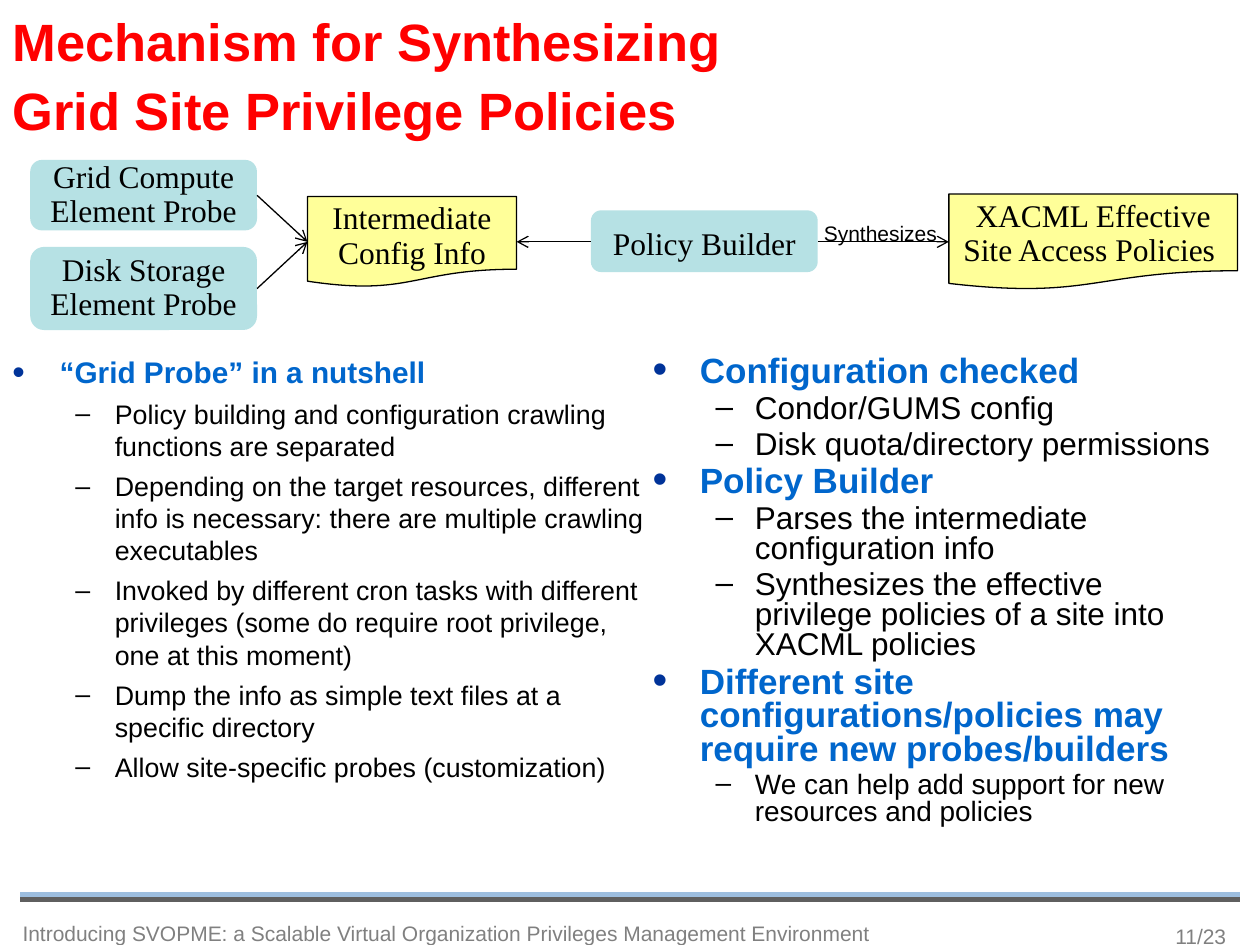
from lxml import etree
from pptx import Presentation, util as u
from pptx.dml.color import RGBColor
from pptx.enum import shapes, text
from pptx.oxml import ns

Pt = u.Pt
RED = RGBColor(0xFF, 0x00, 0x00)
BLUE = RGBColor(0x00, 0x66, 0xCC)
NAVY = RGBColor(0x00, 0x33, 0x99)
BLACK = RGBColor(0x00, 0x00, 0x00)
GRAY = RGBColor(0x80, 0x80, 0x80)
DARK = RGBColor(0x5F, 0x5F, 0x5F)
SKY = RGBColor(0x9D, 0xBE, 0xDF)
TEAL = RGBColor(0xB6, 0xE1, 0xE4)
YELLOW = RGBColor(0xFF, 0xFF, 0x99)

LEFT, MID, RIGHT = text.PP_ALIGN.LEFT, text.PP_ALIGN.CENTER, text.PP_ALIGN.RIGHT
TOP, HALF = text.MSO_ANCHOR.TOP, text.MSO_ANCHOR.MIDDLE
ROUND = shapes.MSO_SHAPE.ROUNDED_RECTANGLE
PAGE = shapes.MSO_SHAPE.FLOWCHART_DOCUMENT


def put(obj, fmt):
    for key, val in fmt.items():
        setattr(obj, key, val)


def sub(node, tag, **attrs):
    return etree.SubElement(node, ns.qn(tag), attrs)


class Deck:
    sans = "Arial"
    serif = "Times New Roman"
    # level: indent, hang, mark, mark colour, mark size, text colour, bold
    marks = [(27, 27, "•", NAVY, "120000", BLUE, True),
             (58.5, 22.5, "–", BLACK, "100000", BLACK, False)]

    def __init__(self, wide, high):
        self.prs = Presentation()
        put(self.prs, {"slide_width": Pt(wide), "slide_height": Pt(high)})
        self.slide = self.prs.slides.add_slide(self.prs.slide_layouts[6])

    def frame(self, shape, anchor=TOP, pad=3.6, wrap=True):
        put(shape.text_frame, {
            "word_wrap": wrap, "vertical_anchor": anchor,
            "margin_left": Pt(7.2), "margin_right": Pt(7.2),
            "margin_top": Pt(pad), "margin_bottom": Pt(pad)})
        return shape.text_frame

    def style(self, para, words, size, color, font, bold=False, **fmt):
        para.text = words
        put(para, fmt)
        for run in para.runs:
            put(run.font, {"size": Pt(size), "name": font, "bold": bold})
            run.font.color.rgb = color

    def label(self, box, words, size, color, gap, align=LEFT, bold=False, **fmt):
        shape = self.slide.shapes.add_textbox(*map(Pt, box))
        para = self.frame(shape, **fmt).paragraphs[0]
        self.style(para, words, size, color, self.sans, bold,
                   alignment=align, line_spacing=gap)

    def node(self, kind, box, words, gap=0.9):
        shape = self.slide.shapes.add_shape(kind, *map(Pt, box))
        shape.shadow.inherit = False
        shape.fill.solid()
        if kind == ROUND:
            shape.fill.fore_color.rgb = TEAL
            shape.line.fill.background()
        else:
            shape.fill.fore_color.rgb = YELLOW
            shape.line.color.rgb = BLACK
            shape.line.width = Pt(0.75)
        para = self.frame(shape, HALF if kind == ROUND else TOP).paragraphs[0]
        self.style(para, words, 18, BLACK, self.serif,
                   alignment=MID, line_spacing=gap)

    def line(self, ends, color=BLACK, width=0.75, arrow=True):
        link = self.slide.shapes.add_connector(
            shapes.MSO_CONNECTOR.STRAIGHT, *map(Pt, ends))
        link.line.color.rgb = color
        link.line.width = Pt(width)
        props = link._element.spPr
        if arrow:
            sub(props.find(ns.qn("a:ln")), "a:tailEnd", type="arrow")
        sub(props, "a:effectLst")

    def bullets(self, box, items, gap):
        shape = self.slide.shapes.add_textbox(*map(Pt, box))
        frame = self.frame(shape)
        for i, (level, size, before, words) in enumerate(items):
            para = frame.paragraphs[0] if i == 0 else frame.add_paragraph()
            left, hang, mark, tint, scale, color, bold = self.marks[level]
            props = para._p.get_or_add_pPr()
            props.set("marL", str(Pt(left)))
            props.set("indent", str(-Pt(hang)))
            sub(sub(props, "a:buClr"), "a:srgbClr", val=str(tint))
            sub(props, "a:buSzPct", val=scale)
            sub(props, "a:buFont", typeface=self.sans)
            sub(props, "a:buChar", char=mark)
            self.style(para, words, size, color, self.sans, bold, level=level,
                       line_spacing=gap, space_before=Pt(before if i else 0))


def main():
    deck = Deck(720, 540)

    # Footer
    for y, color in ((511.2, SKY), (514.1, DARK)):
        deck.line((11.5, y, 708.5, y), color, 3, arrow=False)
    deck.label((540, 516.2, 167.8, 31.7), "11/23", 12, GRAY, 1.54, RIGHT)
    deck.label((5.8, 514.8, 588.2, 31.7),
               "Introducing SVOPME: a Scalable Virtual Organization "
               "Privileges Management Environment", 12, GRAY, 1.54)

    # Title
    deck.label((0, 0, 526.3, 82.1),
               "Mechanism for Synthesizing\nGrid Site Privilege Policies",
               30, RED, 1.1, bold=True, anchor=HALF, pad=0)

    # Left column
    points = [
        "Policy building and configuration crawling functions are separated",
        "Depending on the target resources, different info is necessary: "
        "there are multiple crawling executables",
        "Invoked by different cron tasks with different privileges "
        "(some do require root privilege, one at this moment)",
        "Dump the info as simple text files at a specific directory",
        "Allow site-specific probes (customization)",
    ]
    deck.bullets((0, 198.7, 378, 286.6),
                 [(0, 17, 0, "“Grid Probe” in a nutshell")]
                 + [(1, 15.3, 4.5, words) for words in points], 1.0)

    # Right column
    deck.bullets((365.8, 200.2, 339.1, 298.1), [
        (0, 20, 3, "Configuration checked"),
        (1, 18, 3, "Condor/GUMS config"),
        (1, 18, 3, "Disk quota/directory permissions"),
        (0, 20, 3, "Policy Builder"),
        (1, 18, 3, "Parses the intermediate configuration info"),
        (1, 18, 3, "Synthesizes the effective privilege policies of a site "
                   "into XACML policies"),
        (0, 20, 3, "Different site configurations/policies may require "
                   "new probes/builders"),
        (1, 16, 3, "We can help add support for new resources and policies"),
    ], 0.8)

    # Flow diagram
    deck.node(ROUND, (17.3, 91.4, 129.6, 40.3), "Grid Compute Element Probe")
    deck.node(ROUND, (17.3, 141.1, 129.6, 47.5), "Disk Storage Element Probe")
    deck.node(PAGE, (175.7, 112.3, 119.5, 51.8), "Intermediate Config Info")
    deck.node(ROUND, (337.7, 120.2, 129.6, 35.3), "Policy Builder", 1.1)
    deck.node(PAGE, (542.2, 110.9, 164.9, 54.7),
              "XACML Effective Site Access Policies ")
    axis = 138.2
    for x1, y1, x2 in ((146.9, 111.6, 175.7), (146.9, 164.9, 175.7),
                       (337.7, axis, 295.2), (467.3, axis, 542.2)):
        deck.line((x1, y1, x2, axis))
    deck.label((463.7, 114.5, 79.2, 29.5), "Synthesizes", 12, BLACK, 1.54,
               wrap=False)

    deck.prs.save("out.pptx")


if __name__ == "__main__":
    main()
